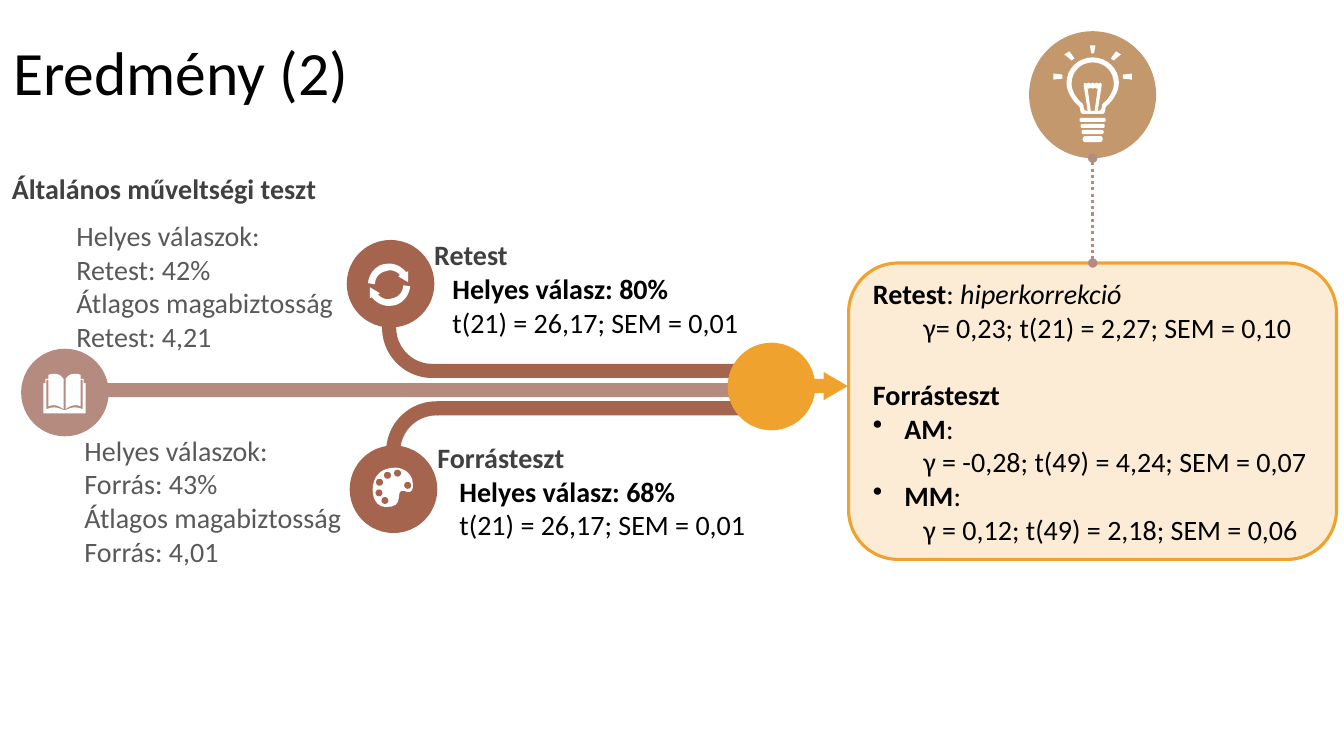
import pptx
import pptx.dml.color
import pptx.enum.dml
import pptx.enum.shapes
import pptx.enum.text
import pptx.oxml
import pptx.oxml.ns
import pptx.util

Pt = pptx.util.Pt
SHAPE = pptx.enum.shapes.MSO_SHAPE
MIDDLE = pptx.enum.text.MSO_ANCHOR.MIDDLE

WHITE, BLACK, DARK, GREY = "FFFFFF", "000000", "404040", "595959"
ROSE, BROWN, TAN, ORANGE, CREAM = "B58B80", "A5644E", "C3986D", "F0A22E", "FCECD5"
NODE = 62.6  # diameter of the timeline circles
BAR = 10.1  # thickness of the timeline bars


def rgb(value):
    return pptx.dml.color.RGBColor.from_string(value)


def paint(sp, fill):
    sp.shadow.inherit = False
    sp.fill.solid()
    sp.fill.fore_color.rgb = rgb(fill)
    sp.line.fill.background()
    return sp


def add_shape(s, kind, x, y, w, h, fill, rotation=0, adjust=()):
    sp = s.shapes.add_shape(kind, Pt(x), Pt(y), Pt(w), Pt(h))
    for i, value in enumerate(adjust):
        sp.adjustments[i] = value
    sp.rotation = rotation
    return paint(sp, fill)


def add_circle(s, x, y, d, fill):
    return add_shape(s, SHAPE.OVAL, x, y, d, d, fill)


# Outlines: a pair is a corner, six numbers are a cubic curve
def trace(steps, pieces=8):
    points = []
    for step in steps:
        if len(step) == 2:
            points.append(step)
            continue
        a, b, c, d = points[-1], step[:2], step[2:4], step[4:]
        for n in range(1, pieces + 1):
            t = n / pieces
            u = 1 - t
            points.append(tuple(
                u**3 * a[i] + 3 * u * u * t * b[i] + 3 * u * t * t * c[i] + t**3 * d[i]
                for i in (0, 1)))
    return points


def mirrored(steps):
    half = trace(steps)
    return half + [(-x, y) for x, y in reversed(half)]


def add_outline(s, fill, x, y, *contours):
    unit = 100
    scaled = [[((x + px) * unit, (y + py) * unit) for px, py in c] for c in contours]
    fb = s.shapes.build_freeform(*scaled[0][0], scale=Pt(1) / unit)
    for i, points in enumerate(scaled):
        if i:
            fb.move_to(*points[0])
        fb.add_line_segments(points[1:], close=True)
    return paint(fb.convert_to_shape(), fill)


# Text: a paragraph is a list of (text, style) runs, style holding "b" or "i"
def add_runs(p, runs, color, size=20):
    for text, style in runs:
        r = p.add_run()
        r.text = text
        r.font.name = "Calibri"
        r.font.size = Pt(size)
        r.font.bold = "b" in style
        r.font.italic = "i" in style
        r.font.color.rgb = rgb(color)


def add_text(s, x, y, w, h, color, *lines, size=20):
    tf = s.shapes.add_textbox(Pt(x), Pt(y), Pt(w), Pt(h)).text_frame
    tf.word_wrap = True
    for i, line in enumerate(lines):
        p = tf.add_paragraph() if i else tf.paragraphs[0]
        add_runs(p, [line], color, size)
    return tf


def indent(p, left, bullet=False):
    pPr = p._p.get_or_add_pPr()
    pPr.set("marL", str(Pt(left)))
    pPr.set("indent", str(Pt(-left if bullet else 0)))
    if bullet:
        bu = pptx.oxml.parse_xml(
            f'<a:buChar {pptx.oxml.ns.nsdecls("a")} char="•"/>')
        pPr.append(bu)


def add_dotted_link(s, x, y1, y2):
    cn = s.shapes.add_connector(
        pptx.enum.shapes.MSO_CONNECTOR.STRAIGHT, Pt(x), Pt(y1), Pt(x), Pt(y2))
    cn.line.color.rgb = rgb(ROSE)
    cn.line.width = Pt(2.25)
    cn.line.dash_style = pptx.enum.dml.MSO_LINE.ROUND_DOT
    ns = pptx.oxml.ns.nsdecls("a")
    ln = cn.line._get_or_add_ln()
    for end in ("headEnd", "tailEnd"):
        ln.append(pptx.oxml.parse_xml(f'<a:{end} {ns} type="oval"/>'))
    cn._element.spPr.append(pptx.oxml.parse_xml(f"<a:effectLst {ns}/>"))


def add_results_card(s):
    sp = add_shape(s, SHAPE.ROUNDED_RECTANGLE, 606.2, 187.9, 348.5, 211.7, CREAM)
    sp.line.color.rgb = rgb(ORANGE)
    sp.line.width = Pt(2.25)
    tf = sp.text_frame
    tf.word_wrap = True
    tf.vertical_anchor = MIDDLE
    lines = [
        ("head", [("Retest", "b"), (": ", ""), ("hiperkorrekció", "i")]),
        ("value", [("γ= 0,23; t(21) = 2,27; SEM = 0,10", "")]),
        ("head", [("Forrásteszt", "b")]),
        ("bullet", [("AM", "b"), (":", "")]),
        ("value", [("γ = -0,28; t(49) = 4,24; SEM = 0,07", "")]),
        ("bullet", [("MM", "b"), (":", "")]),
        ("value", [("γ = 0,12; t(49) = 2,18; SEM = 0,06", "")]),
    ]
    for i, (kind, runs) in enumerate(lines):
        p = tf.add_paragraph() if i else tf.paragraphs[0]
        p.alignment = pptx.enum.text.PP_ALIGN.LEFT
        if kind == "value":
            p.level = 1
            indent(p, 36)
        elif kind == "bullet":
            indent(p, 22.5, bullet=True)
        elif i:
            p.space_before = Pt(24)
        add_runs(p, runs, BLACK)


def add_bulb(s, x):
    for i in range(4):
        w = 18.7 - 1.5 * i
        add_shape(s, SHAPE.ROUNDED_RECTANGLE, x - w / 2, 84.2 + 4.33 * i, w,
                  4.3 if i == 3 else 2.9, WHITE, adjust=[0.4])
    glass = [(0, 41), (10.1, 41, 18.7, 49, 18.7, 59), (18.7, 66.2, 13.7, 72.7, 10.1, 75.6),
             (8.6, 77, 9.4, 77.8, 8.6, 79.9), (8.6, 80.6, 7.9, 81.4, 6.5, 81.4)]
    hollow = [(0, 44.6), (8.6, 44.6, 15.1, 51.1, 15.1, 59.8),
              (15.1, 64.8, 11.5, 70.6, 7.9, 73.4), (6.5, 74.9, 6.5, 74.9, 6.5, 77),
              (5.8, 78.5, 6.5, 78.5, 5, 78.5), (5, 79.2)]
    add_outline(s, WHITE, x, 0, mirrored(glass), mirrored(hollow))
    filament = [(0, 59), (1.4, 59.8), (2.9, 59), (4.3, 59.8), (5.8, 59), (6.5, 60.5),
                (3.6, 79.2), (1.4, 79.2), (3.6, 63.4), (2.9, 63.4), (1.4, 62.6), (0, 63.4)]
    add_outline(s, WHITE, x, 0, mirrored(filament))
    rays = [[(28, 52.6), (28, 56.9), (21.6, 56.2), (21.6, 53.3)],
            [(16.6, 36.7), (20.2, 38.9), (15.1, 43.2), (13, 41.8)]]
    rays += [[(-px, py) for px, py in ray] for ray in rays]
    add_outline(s, WHITE, x, 0, mirrored([(2, 32.4), (1, 38.2)]), *rays)


def add_book(s, x, y):
    page = [(0, 25.9), (0.7, 25.9), (5, 23.8, 7.9, 23.1, 13, 25.2), (13, 4.3), (11.5, 4.3),
            (11.5, 23.1), (7.9, 21.6, 4.3, 22.3, 0.7, 25.2), (0.7, 3.6),
            (2.9, 0.7, 4.3, 0, 7.2, 0), (8.6, 0, 10.1, 0, 11.5, 0.7), (11.5, 3.6),
            (13.7, 3.6), (13.7, 6.5), (15.1, 6.5), (15.1, 28.1), (0, 28.1)]
    add_outline(s, WHITE, x, y, mirrored(page))


def add_cycle(s, x, y):
    arrow = trace([
        (0, -15.1), (5, -15.1, 9.4, -12.6, 12.2, -9), (13.7, -9.7), (13.7, -1.8),
        (6.5, -6.1), (7.9, -6.8), (5.8, -9.7, 1.4, -11.2, -2.2, -9.7),
        (-6.5, -9, -10.1, -5.4, -10.1, -0.4), (-15.1, -1.1),
        (-14.4, -7.6, -10.1, -13.3, -3.6, -14.8), (-2.2, -14.8, -1.4, -15.1, 0, -15.1)])
    add_outline(s, WHITE, x, y, arrow, [(-px, -py) for px, py in arrow])


def add_palette(s, x, y):
    board = [(15.8, 0), (16.5, 0, 16.8, 0, 17.3, 0), (22.3, 0.7, 26.6, 3.6, 28.1, 8.6),
             (30.2, 18.7, 25.2, 18, 22.3, 16.5), (14.4, 15.1, 24.5, 28.8, 8.6, 28.1),
             (0, 27.3, -1.4, 16.5, 0.7, 10.1), (2.2, 5, 6.5, 0, 15.8, 0)]
    add_outline(s, WHITE, x, y, trace(board))
    for px, py in [(6.1, 20.9), (1.8, 15.5), (22.3, 10.1), (2.2, 7.9), (7.9, 2.9), (15.1, 1.4)]:
        add_circle(s, x + px, y + py, 5, BROWN)


def main():
    prs = pptx.Presentation()
    prs.slide_width, prs.slide_height = Pt(960), Pt(540)
    s = prs.slides.add_slide(prs.slide_layouts[6])

    # Title and heading
    tf = add_text(s, 2.2, 1.4, 255.6, 104.4, BLACK, ("Eredmény (2)", ""), size=44)
    tf.vertical_anchor = MIDDLE
    tf.paragraphs[0].line_spacing = 0.9
    add_text(s, 1.4, 118.8, 255, 31.5, DARK, ("Általános műveltségi teszt", "b"))

    # Results card and idea circle
    add_results_card(s)
    add_circle(s, 735.1, 22.3, 90.7, TAN)
    add_bulb(s, 780.5)
    add_dotted_link(s, 780.5, 113, 187.9)

    # Main bar and the two branches that join it
    add_shape(s, SHAPE.RECTANGLE, 74.2, 273.6, 465.8, BAR, ROSE)
    for arc_x, arc_y, turn, bar_x, bar_y in [(272.9, 198, 180, 306.7, 259.9),
                                             (275.8, 286.6, 270, 311.8, 286.6)]:
        add_shape(s, SHAPE.BLOCK_ARC, arc_x, arc_y, 72, 72, BROWN, turn, [161.84, 1.65, 0.14])
        add_shape(s, SHAPE.RECTANGLE, bar_x, bar_y, 251, BAR, BROWN)

    # Arrow to the card
    add_shape(s, SHAPE.RECTANGLE, 579.6, 270.7, 13, BAR, ORANGE)
    add_shape(s, SHAPE.ISOSCELES_TRIANGLE, 586.8, 267.1, 20.2, 17.3, ORANGE, 90)

    # Circles and their icons
    for x, y, fill in [(15.1, 249.1, ROSE), (247.7, 171.4, BROWN),
                       (249.8, 318.2, BROWN), (519.8, 244.8, ORANGE)]:
        add_circle(s, x, y, NODE, fill)
    add_book(s, 46.1, 267.1)
    add_cycle(s, 277.9, 203.4)
    add_palette(s, 266.4, 334.1)

    # Averages on the left, one block per test
    for x, y, test, share, sure in [(47.5, 152.6, "Retest", "42%", "4,21"),
                                    (53.3, 306, "Forrás", "43%", "4,01")]:
        add_text(s, x, y, 257, 104.4, GREY, ("Helyes válaszok:", ""), (f"{test}: {share}", ""),
                 ("Átlagos magabiztosság", ""), (f"{test}: {sure}", ""))

    # Branch results
    for x, y, gap, test, share in [(303.1, 166.3, 13, "Retest", "80%"),
                                   (305.3, 311, 15.8, "Forrásteszt", "68%")]:
        add_text(s, x, y, 230, 31.5, DARK, (test, "b"))
        add_text(s, x + gap, y + 24.1, 260, 55.4, BLACK, (f"Helyes válasz: {share}", "b"),
                 ("t(21) = 26,17; SEM = 0,01", ""))

    prs.save("out.pptx")


if __name__ == "__main__":
    main()
